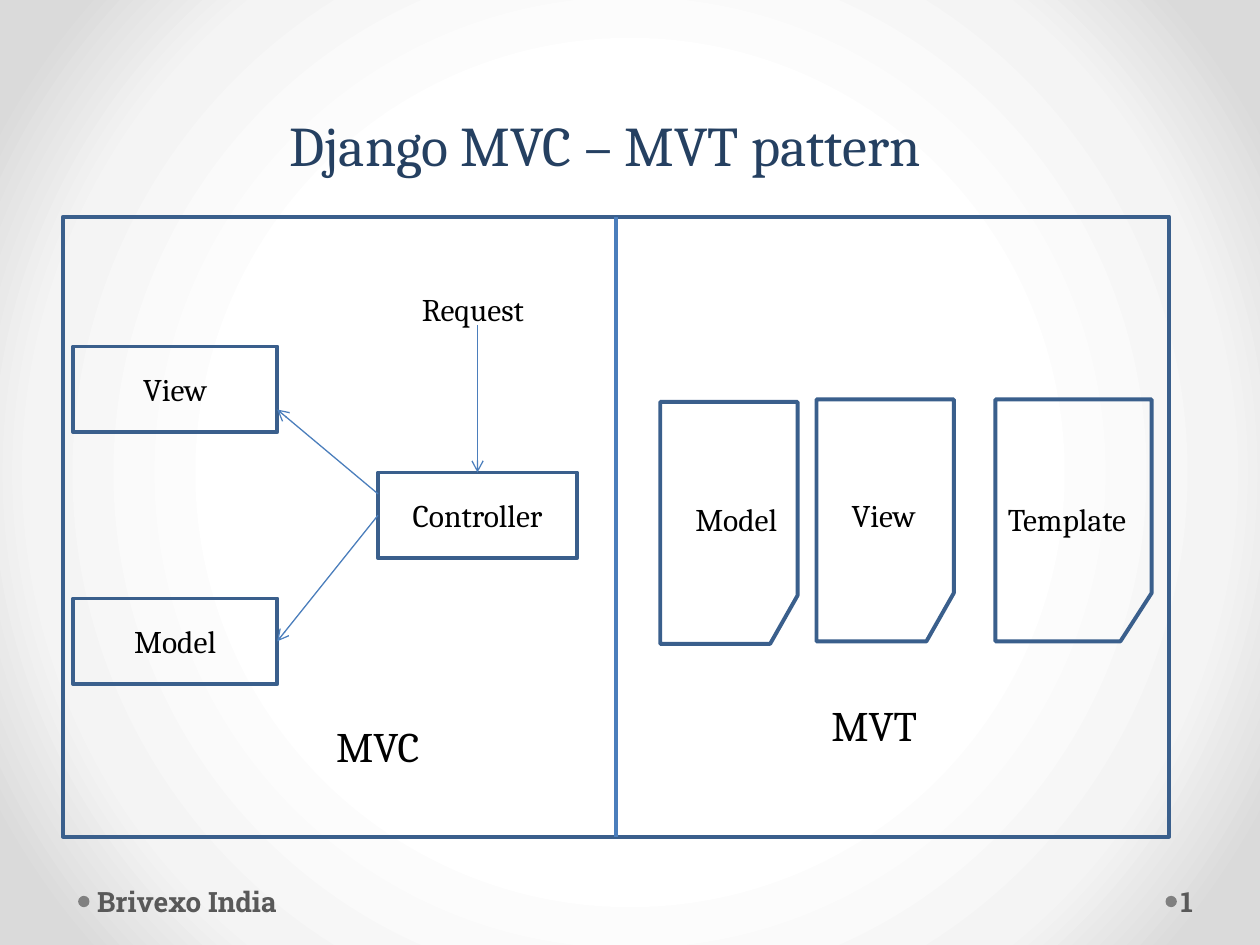
"""Build the Django MVC and MVT pattern slide."""
import pptx
import pptx.dml.color
import pptx.enum.shapes
import pptx.enum.text
import pptx.oxml
import pptx.oxml.ns
import pptx.util

Inches = pptx.util.Inches
Shape = pptx.enum.shapes.MSO_SHAPE
Anchor = pptx.enum.text.MSO_ANCHOR
Align = pptx.enum.text.PP_ALIGN
NAMESPACE = pptx.oxml.ns.nsdecls("a")
BORDER, LINK = "3A5F8C", "4B7EBC"


def paint(color_format, hex_color):
    color_format.rgb = pptx.dml.color.RGBColor.from_string(hex_color)


def write(box, text, size=18, font="Cambria", color="000000", bold=False,
          align=Align.LEFT, anchor=Anchor.TOP, wrap=True, margins=(0.1, 0.05, 0.1, 0.05)):
    frame = box.text_frame
    frame.word_wrap = wrap
    frame.vertical_anchor = anchor
    frame.margin_left, frame.margin_top, frame.margin_right, frame.margin_bottom = map(Inches, margins)
    para = frame.paragraphs[0]
    para.alignment = align
    span = para.add_run()
    span.text = text
    span.font.size = pptx.util.Pt(size)
    span.font.name = font
    span.font.bold = bold
    paint(span.font.color, color)


deck = pptx.Presentation()
deck.slide_width, deck.slide_height = Inches(10), Inches(7.5)
page = deck.slides.add_slide(deck.slide_layouts[6])

page.background.fill.solid()
solid = page.background._cSld.find(".//" + pptx.oxml.ns.qn("a:solidFill"))
stops = "".join(
    f'<a:gs pos="{position}000"><a:srgbClr val="{color}"/></a:gs>'
    for position, color in [(50, "FFFFFF"), (76, "F4F4F4"), (92, "DADADA")])
gradient = pptx.oxml.parse_xml(
    f'<a:gradFill {NAMESPACE} rotWithShape="1"><a:gsLst>{stops}</a:gsLst><a:path path="circle">'
    '<a:fillToRect l="50000" t="50000" r="50000" b="50000"/></a:path></a:gradFill>')
solid.getparent().replace(solid, gradient)

for left in (9.25, 0.62):
    dot = page.shapes.add_shape(Shape.OVAL, Inches(left), Inches(7.11), Inches(0.09), Inches(0.09))
    dot.shadow.inherit = False
    dot.fill.solid()
    paint(dot.fill.fore_color, "808080")
    dot.line.fill.background()

for text, left, width, margins in [
    ("1", 9.34, 0.61, (0.03, 0.05, 0.05, 0.05)),
    ("Brivexo India", 0.72, 3.11, (0.05, 0.05, 0.1, 0.05)),
]:
    footer = page.shapes.add_textbox(Inches(left), Inches(6.95), Inches(width), Inches(0.4))
    write(footer, text, size=16, font="Roboto Slab", color="595959", bold=True,
          anchor=Anchor.MIDDLE, margins=margins)

title = page.shapes.add_textbox(Inches(2.2), Inches(0.83), Inches(6.08), Inches(1.18))
write(title, "Django MVC – MVT pattern", size=32, color="254061")

for kind, text, left, top, width, height in [
    (Shape.RECTANGLE, "", 0.5, 1.72, 8.78, 4.92),
    (Shape.RECTANGLE, "Controller", 3, 3.75, 1.58, 0.68),
    (Shape.RECTANGLE, "View", 0.58, 2.75, 1.62, 0.68),
    (Shape.RECTANGLE, "Model", 0.58, 4.75, 1.62, 0.68),
    (Shape.FLOWCHART_CARD, "", 5.24, 3.19, 1.09, 1.92),
    (Shape.FLOWCHART_CARD, "", 6.48, 3.17, 1.09, 1.92),
    (Shape.FLOWCHART_CARD, "", 7.9, 3.17, 1.24, 1.92),
]:
    block = page.shapes.add_shape(kind, Inches(left), Inches(top), Inches(width), Inches(height))
    block.shadow.inherit = False
    block.fill.background()
    paint(block.line.color, BORDER)
    block.line.width = pptx.util.Pt(2.25)
    if kind == Shape.FLOWCHART_CARD:
        block.rotation = 180
    if text:
        write(block, text, align=Align.CENTER, anchor=Anchor.MIDDLE)

for start_x, start_y, end_x, end_y, width, arrow in [
    (4.89, 1.72, 4.89, 6.64, 2.25, False),
    (3, 3.92, 2.2, 3.25, 0.75, True),
    (3, 4.09, 2.2, 5.09, 0.75, True),
    (3.79, 2.58, 3.79, 3.75, 0.75, True),
]:
    link = page.shapes.add_connector(
        pptx.enum.shapes.MSO_CONNECTOR.STRAIGHT,
        Inches(start_x), Inches(start_y), Inches(end_x), Inches(end_y))
    paint(link.line.color, LINK)
    link.line.width = pptx.util.Pt(width)
    if arrow:
        link.line._get_or_add_ln().append(pptx.oxml.parse_xml(f'<a:tailEnd {NAMESPACE} type="arrow"/>'))
    link._element.spPr.append(pptx.oxml.parse_xml(f"<a:effectLst {NAMESPACE}/>"))

for text, left, top, width, height, size in [
    ("Request", 3.25, 2.25, 1.1, 0.4, 18),
    ("Model", 5.42, 3.92, 0.93, 0.4, 18),
    ("View", 6.66, 3.89, 0.78, 0.4, 18),
    ("Template", 7.9, 3.92, 1.24, 0.4, 18),
    ("MVC", 2.57, 5.67, 1, 0.5, 24),
    ("MVT", 6.5, 5.5, 0.97, 0.5, 24),
]:
    label = page.shapes.add_textbox(Inches(left), Inches(top), Inches(width), Inches(height))
    write(label, text, size=size, wrap=False)

deck.save("out.pptx")
